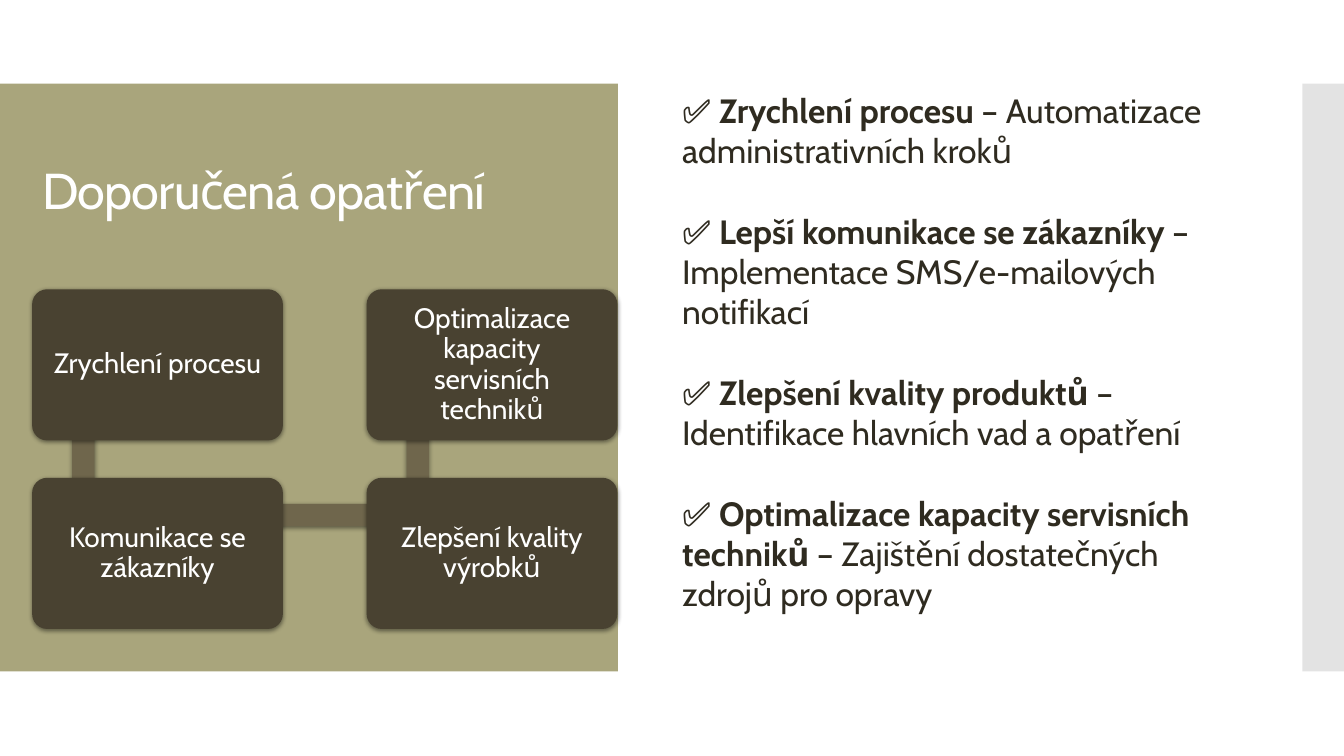
from dataclasses import dataclass

from lxml.etree import SubElement
from pptx import Presentation
from pptx.dml.color import RGBColor
from pptx.enum.shapes import MSO_SHAPE as Preset
from pptx.enum.text import MSO_ANCHOR as Anchor, MSO_AUTO_SIZE as AutoSize, PP_ALIGN as Align
from pptx.oxml.ns import qn
from pptx.util import Cm, Pt


@dataclass(frozen=True)
class Theme:
    font: str = "Cabin"
    panel: str = "A9A57C"
    edge: str = "C8C8C8"
    card: str = "494231"
    bar: str = "6F664C"
    light: str = "FFFFFF"
    dark: str = "2F2B20"
    shadow: str = "000000"
    title_size: int = 36
    body_size: int = 24
    card_size: int = 20


THEME = Theme()
TITLE = "Doporučená opatření"
CARDS = [
    ["Zrychlení procesu", "Optimalizace kapacity servisních techniků"],
    ["Komunikace se zákazníky", "Zlepšení kvality výrobků"],
]
MEASURES = [
    ("Zrychlení procesu", "Automatizace administrativních kroků"),
    ("Lepší komunikace se zákazníky", "Implementace SMS/e-mailových notifikací"),
    ("Zlepšení kvality produktů", "Identifikace hlavních vad a opatření"),
    ("Optimalizace kapacity servisních techniků", "Zajištění dostatečných zdrojů pro opravy"),
]
PANEL_TOP, PANEL_HEIGHT = 2.11, 14.81
CARD_LEFT, CARD_TOP = 0.81, 7.29
CARD_WIDTH, CARD_HEIGHT = 6.32, 3.81
COLUMN_STEP, ROW_STEP = 8.43, 4.75
BAR_INSET, BAR_WIDTH = 1.01, 0.56


def write_text(paragraph, text, *, size, color, bold=False, tracking=None):
    run = paragraph.add_run()
    run.text = text
    run.font.name = THEME.font
    run.font.size = Pt(size)
    run.font.bold = bold
    run.font.color.rgb = RGBColor.from_string(color)
    if tracking is not None:
        run.font._element.set("spc", str(round(tracking * 100)))


def add_block(slide, preset, left, top, width, height, color, alpha=None):
    shape = slide.shapes.add_shape(preset, Cm(left), Cm(top), Cm(width), Cm(height))
    shape.fill.solid()
    shape.fill.fore_color.rgb = RGBColor.from_string(color)
    shape.line.fill.background()
    shape.shadow.inherit = False
    if alpha is not None:
        fill_color = shape.element.spPr.find(qn("a:solidFill"))[0]
        SubElement(fill_color, qn("a:alpha"), val=str(alpha * 1000))
    return shape


def add_shadow(shape):
    effects = shape.element.spPr.find(qn("a:effectLst"))
    shadow = SubElement(effects, qn("a:outerShdw"), blurRad=str(Pt(3.5)),
                        dist=str(Pt(1.1)), dir="5400000", rotWithShape="0")
    color = SubElement(shadow, qn("a:srgbClr"), val=THEME.shadow)
    SubElement(color, qn("a:alpha"), val="45000")


def add_bar(slide, left, top, width, height):
    add_shadow(add_block(slide, Preset.RECTANGLE, left, top, width, height, THEME.bar))


def add_card(slide, left, top, text):
    card = add_block(slide, Preset.ROUNDED_RECTANGLE, left, top,
                     CARD_WIDTH, CARD_HEIGHT, THEME.card)
    card.adjustments[0] = 0.1
    add_shadow(card)
    frame = card.text_frame
    frame.word_wrap = True
    frame.vertical_anchor = Anchor.MIDDLE
    frame.margin_left = frame.margin_right = Cm(0.3)
    frame.margin_top = frame.margin_bottom = Cm(0.3)
    paragraph = frame.paragraphs[0]
    paragraph.alignment = Align.CENTER
    paragraph.line_spacing = 0.9
    write_text(paragraph, text, size=THEME.card_size, color=THEME.light)


def add_process(slide):
    for column in range(2):
        add_bar(slide, CARD_LEFT + BAR_INSET + column * COLUMN_STEP, 8.24, BAR_WIDTH, 4.7)
    add_bar(slide, 2.13, 12.7, 8.38, BAR_WIDTH)
    for row, texts in enumerate(CARDS):
        for column, text in enumerate(texts):
            add_card(slide, CARD_LEFT + column * COLUMN_STEP, CARD_TOP + row * ROW_STEP, text)


def format_title(slide):
    title = slide.shapes.title
    title.left, title.top, title.width, title.height = Cm(0.81), Cm(3.12), Cm(13.89), Cm(3.48)
    frame = title.text_frame
    frame.word_wrap = True
    frame.auto_size = AutoSize.NONE
    frame.vertical_anchor = Anchor.MIDDLE
    paragraph = frame.paragraphs[0]
    paragraph.alignment = Align.LEFT
    paragraph.line_spacing = 0.9
    write_text(paragraph, TITLE, size=THEME.title_size, color=THEME.light, tracking=-0.6)


def add_measures(slide):
    box = slide.shapes.add_textbox(Cm(16.94), Cm(2.13), Cm(14.78), Cm(14.35))
    frame = box.text_frame
    frame.word_wrap = True
    for index, (name, detail) in enumerate(MEASURES):
        paragraph = frame.add_paragraph() if index else frame.paragraphs[0]
        if index:
            paragraph.space_before = Pt(28.8)
        for text, bold in (("✅ ", False), (name, True), (f" – {detail}", False)):
            write_text(paragraph, text, size=THEME.body_size, color=THEME.dark, bold=bold)


def main():
    presentation = Presentation()
    presentation.slide_width, presentation.slide_height = Cm(33.87), Cm(19.05)
    slide = presentation.slides.add_slide(presentation.slide_layouts[5])
    panel = add_block(slide, Preset.RECTANGLE, 0, PANEL_TOP, 15.57, PANEL_HEIGHT, THEME.panel)
    slide.shapes.title.element.addprevious(panel.element)
    add_block(slide, Preset.RECTANGLE, 32.82, PANEL_TOP, 1.05, PANEL_HEIGHT, THEME.edge, alpha=50)
    format_title(slide)
    add_process(slide)
    add_measures(slide)
    presentation.save("out.pptx")


if __name__ == "__main__":
    main()
